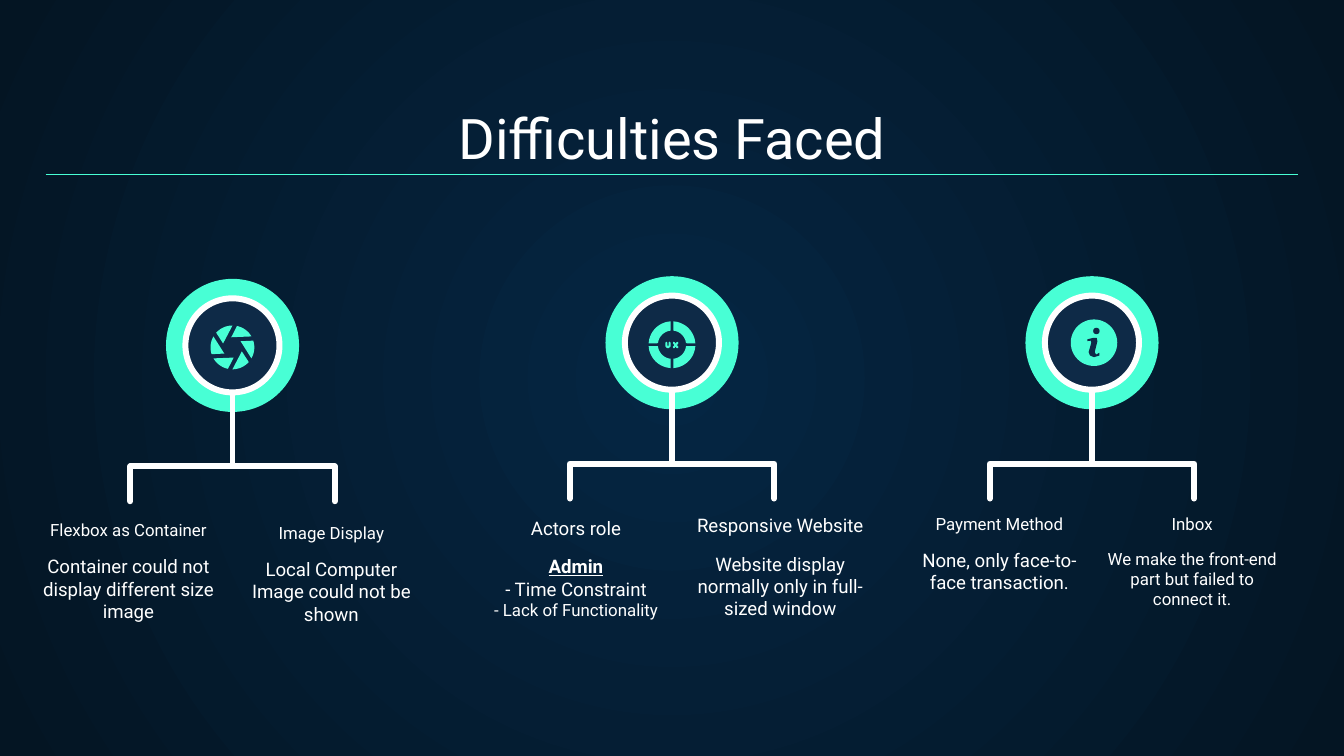
import math

import lxml.etree
import pptx
import pptx.dml.color
import pptx.enum.shapes
import pptx.enum.text
import pptx.oxml
import pptx.oxml.ns
import pptx.util

WHITE = pptx.dml.color.RGBColor(0xFF, 0xFF, 0xFF)
MINT = pptx.dml.color.RGBColor(0x48, 0xFF, 0xD5)
NAVY = pptx.dml.color.RGBColor(0x0E, 0x2A, 0x47)
GLOW = pptx.dml.color.RGBColor(0x05, 0x26, 0x43)
NIGHT = pptx.dml.color.RGBColor(0x04, 0x15, 0x23)

FONT = "Roboto"
COLUMNS = 100
STROKE = 3.2
LEAF_OFFSET = 7.6
TOP = pptx.enum.text.MSO_ANCHOR.TOP
BOTTOM = pptx.enum.text.MSO_ANCHOR.BOTTOM


def arc(radius, start, end, steps=16):
    """Return points on a circle about the origin, angles in degrees."""
    angles = [math.radians(start + (end - start) * i / steps) for i in range(steps + 1)]
    return [(radius * math.cos(a), radius * math.sin(a)) for a in angles]


class Page:
    """Draw styled elements on one slide, on a square grid of 100 columns."""

    def __init__(self, deck):
        self.page = deck.slides.add_slide(deck.slide_layouts[6])
        self.shapes = self.page.shapes
        self.cell = deck.slide_width / COLUMNS

    def emu(self, *cells):
        return [pptx.util.Emu(round(value * self.cell)) for value in cells]

    def background(self, inner, outer):
        fill = self.page.background.fill
        fill.gradient()
        for stop, color in zip(fill.gradient_stops, (inner, outer)):
            stop.color.rgb = color
        gradient = self.page.element.xpath(".//a:gradFill")[0]
        for linear in gradient.xpath("./a:lin"):
            gradient.remove(linear)
        gradient.append(pptx.oxml.parse_xml(
            f'<a:path {pptx.oxml.ns.nsdecls("a")} path="circle">'
            '<a:fillToRect l="50000" t="50000" r="50000" b="50000"/></a:path>'))

    def text(self, center, top, width, height, paragraphs, anchor=TOP):
        box = self.shapes.add_textbox(*self.emu(center - width / 2, top, width, height))
        frame = box.text_frame
        frame.word_wrap = True
        frame.vertical_anchor = anchor
        frame.margin_left, frame.margin_top, frame.margin_right, frame.margin_bottom = self.emu(1, 1, 1, 1)
        for index, (words, size, strong) in enumerate(paragraphs):
            para = frame.paragraphs[0] if index == 0 else frame.add_paragraph()
            para.alignment = pptx.enum.text.PP_ALIGN.CENTER
            span = para.add_run()
            span.text = words
            span.font.name = FONT
            span.font.size = pptx.util.Pt(size)
            span.font.color.rgb = WHITE
            span.font.bold = span.font.underline = strong

    def circle(self, x, y, radius, fill, outline=None):
        disc = self.shapes.add_shape(
            pptx.enum.shapes.MSO_SHAPE.OVAL,
            *self.emu(x - radius, y - radius, 2 * radius, 2 * radius))
        disc.shadow.inherit = False
        disc.fill.solid()
        disc.fill.fore_color.rgb = fill
        if outline is None:
            disc.line.fill.background()
        else:
            disc.line.color.rgb = outline
            disc.line.width = pptx.util.Pt(STROKE)

    def outline(self, x, y, points, closed):
        corners = [self.emu(x + dx, y + dy) for dx, dy in points]
        builder = self.shapes.build_freeform(*corners[0])
        builder.add_line_segments(corners[1:], close=closed)
        shape = builder.convert_to_shape()
        shape.shadow.inherit = False
        return shape

    def polygon(self, x, y, points, fill):
        shape = self.outline(x, y, points, True)
        shape.fill.solid()
        shape.fill.fore_color.rgb = fill
        shape.line.fill.background()

    def stroke(self, x, y, points, color, width):
        shape = self.outline(x, y, points, False)
        shape.fill.background()
        shape.line.color.rgb = color
        shape.line.width = pptx.util.Pt(width)
        line = shape.element.xpath(".//a:ln")[0]
        line.set("cap", "rnd")
        lxml.etree.SubElement(line, pptx.oxml.ns.qn("a:round"))

    def line(self, x1, y1, x2, y2, color, width):
        line = self.shapes.add_connector(
            pptx.enum.shapes.MSO_CONNECTOR.STRAIGHT, *self.emu(x1, y1, x2, y2))
        line.line.color.rgb = color
        line.line.width = pptx.util.Pt(width)
        lxml.etree.SubElement(line.element.spPr, pptx.oxml.ns.qn("a:effectLst"))

    def branch(self, x, y):
        self.circle(x, y, 4.95, MINT)
        self.stroke(x, y, [(-LEAF_OFFSET, 11.6), (-LEAF_OFFSET, 9), (LEAF_OFFSET, 9),
                           (LEAF_OFFSET, 11.6)], WHITE, STROKE)
        self.line(x, y, x, y + 9, WHITE, STROKE)
        self.circle(x, y, 3.5, NAVY, WHITE)

    def shutter_icon(self, x, y):
        for turn in range(30, 390, 60):
            blade = arc(1.63, turn, turn - 48) + arc(0.76, turn - 67, turn - 67, 1)
            self.polygon(x, y + 0.15, blade, MINT)

    def ux_icon(self, x, y):
        center = y + 0.15
        for turn in range(0, 360, 90):
            sector = arc(1.74, turn + 3.4, turn + 86.6) + arc(1.05, turn + 84, turn + 6)
            self.polygon(x, center, sector, MINT)
        self.stroke(x, center, [(-0.42, -0.15), (-0.42, 0.1), (-0.3, 0.2),
                                (-0.18, 0.1), (-0.18, -0.15)], MINT, 1.1)
        for side in (-1, 1):
            self.stroke(x, center, [(0.27 - 0.14 * side, -0.15), (0.27 + 0.14 * side, 0.2)],
                        MINT, 1.1)

    def info_icon(self, x, y):
        x += 0.15
        self.circle(x, y, 1.73, MINT)
        self.circle(x + 0.18, y - 0.87, 0.24, NAVY)
        self.polygon(x, y, [(-0.5, -0.25), (-0.1, -0.35), (0.2, -0.35), (0.25, -0.1),
                            (0.05, 0.7), (0.15, 0.88), (0.4, 0.75), (0.4, 0.95),
                            (0, 1.08), (-0.3, 0.95), (-0.4, 0.7), (-0.2, 0),
                            (-0.25, -0.15), (-0.5, -0.12)], NAVY)

    def leaf(self, center, top, title, size, body):
        self.text(center, top - 0.15, 22.7, 2.1, [(title, size, False)], BOTTOM)
        self.text(center, top + 1.3, 15.2, 5.5, body)


def main():
    deck = pptx.Presentation()
    deck.slide_width = pptx.util.Inches(10)
    deck.slide_height = deck.slide_width * 9 // 16
    page = Page(deck)
    page.background(GLOW, NIGHT)
    page.text(50, 7.1, 93.2, 6.6, [("Difficulties Faced", 30, False)], BOTTOM)
    page.line(3.4, 13, 96.6, 13, MINT, 0.75)

    hubs = [(17.3, 25.7, page.shutter_icon), (50, 25.5, page.ux_icon),
            (81.25, 25.5, page.info_icon)]
    for x, y, icon in hubs:
        page.branch(x, y)
        icon(x, y)

    leaves = [
        (9.55, 39, "Flexbox as Container", 9,
         [("Container could not display different size image", 10, False)]),
        (24.65, 39.2, "Image Display", 9,
         [("Local Computer Image could not be shown", 10, False)]),
        (42.85, 39, "Actors role", 10,
         [("Admin", 10, True), ("- Time Constraint", 10, False),
          ("- Lack of Functionality", 9, False)]),
        (58.05, 38.8, "Responsive Website", 10,
         [("Website display normally only in full-sized window", 10, False)]),
        (74.35, 38.5, "Payment Method", 9,
         [("None, only face-to-face transaction.", 10, False)]),
        (88.7, 38.5, "Inbox", 9,
         [("We make the front-end part but failed to connect it.", 9, False)]),
    ]
    for leaf in leaves:
        page.leaf(*leaf)
    deck.save("out.pptx")


if __name__ == "__main__":
    main()
